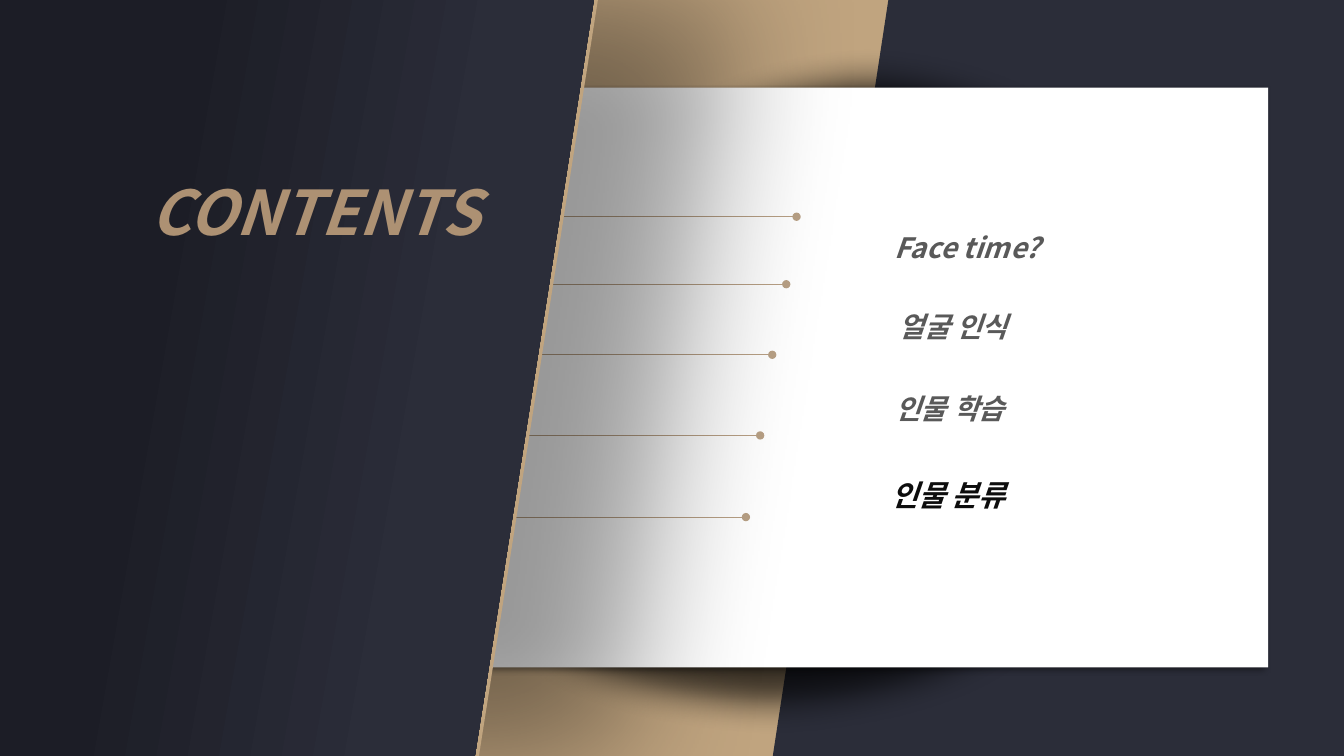
from lxml import etree
from pptx import Presentation
from pptx.dml.color import RGBColor
from pptx.enum.shapes import MSO_CONNECTOR, MSO_SHAPE
from pptx.enum.text import MSO_ANCHOR, MSO_AUTO_SIZE, PP_ALIGN
from pptx.oxml.ns import qn
from pptx.util import Inches, Pt

SLANTED, OVAL, RECTANGLE = MSO_SHAPE.FLOWCHART_MANUAL_INPUT, MSO_SHAPE.OVAL, MSO_SHAPE.RECTANGLE
STRAIGHT, MIDDLE, CENTER = MSO_CONNECTOR.STRAIGHT, MSO_ANCHOR.MIDDLE, PP_ALIGN.CENTER
GROW = MSO_AUTO_SIZE.SHAPE_TO_FIT_TEXT
FONT = "Noto Sans CJK KR"
COLORS = {name: RGBColor.from_string(code) for name, code in {
    "gold": "C0A47F", "navy": "2B2D39", "night": "1C1D26", "black": "000000",
    "white": "FFFFFF", "rule": "B8A085", "title": "AD9173",
    "gray": "595959", "ink": "0D0D0D"}.items()}

deck = Presentation()
deck.slide_width, deck.slide_height = Inches(13.33), Inches(7.5)
page = deck.slides.add_slide(deck.slide_layouts[6])
page.background.fill.solid()
page.background.fill.fore_color.rgb = COLORS["gold"]

# One column and one row are each a hundredth of the slide
column, row = deck.slide_width / 100, deck.slide_height / 100


def add_block(kind, frame, color, effect=None, blur=0, distance=0, angle=0):
    """Add a borderless shape; frame is left, top, width, height in columns and rows."""
    left, top, width, height = frame
    block = page.shapes.add_shape(kind, int(left * column), int(top * row),
                                  int(width * column), int(height * row))
    block.fill.solid()
    block.fill.fore_color.rgb = COLORS[color]
    block.line.fill.background()
    block.shadow.inherit = False
    effects = block._element.spPr.find(qn("a:effectLst"))
    if effect == "softEdge":
        etree.SubElement(effects, qn("a:softEdge"), rad=str(Pt(blur)))
    elif effect == "outerShdw":
        shadow = etree.SubElement(effects, qn("a:outerShdw"), blurRad=str(Pt(blur)),
                                  dist=str(Pt(distance)), dir=str(angle * 60000),
                                  algn="ctr", rotWithShape="0")
        tint = etree.SubElement(shadow, qn("a:srgbClr"), val=str(COLORS["black"]))
        etree.SubElement(tint, qn("a:alpha"), val="40000")
    return block


def add_label(frame, text, size, color):
    """Add a text box with one bold italic run."""
    left, top, width, height = frame
    box = page.shapes.add_textbox(int(left * column), int(top * row),
                                  int(width * column), int(height * row))
    box.text_frame.word_wrap = True
    span = box.text_frame.paragraphs[0].add_run()
    span.text = text
    font = span.font
    font.name, font.size, font.bold, font.italic = FONT, Pt(size), True, True
    font.color.rgb = COLORS[color]
    etree.SubElement(font._element, qn("a:ea"), typeface=FONT)
    return box.text_frame


# A panel lies on its side: its long side is the slide's height
long_side = deck.slide_height / column


def panel_frame(center, thickness):
    height = thickness * column / row
    return center - long_side / 2, 50 - height / 2, long_side, height


# Navy panel on the right
right_panel = add_block(SLANTED, panel_frame(79, 43), "navy")
right_panel.rotation = 90
right_panel._element.spPr.xfrm.set("flipV", "1")

# Soft dark glows behind the card
for glow_frame in [(35.63, 66.67, 43.28, 30.8), (46.43, 5.87, 36.23, 30.8)]:
    glow = add_block(OVAL, glow_frame, "black", "softEdge", 25)
    tint = glow._element.spPr.find(qn("a:solidFill"))[0]
    etree.SubElement(tint, qn("a:alpha"), val="71000")

# White card
add_block(RECTANGLE, (9.53, 11.6, 84.83, 76.67), "white", "outerShdw", 4, 3, 135)

# Contents list
for left, top, text, size, color in [
        (65.8, 29.87, "Face time?", 20, "gray"),
        (66.1, 40.27, "얼굴 인식", 20, "gray"),
        (65.87, 51.07, "인물 학습", 20, "gray"),
        (65.57, 62.4, "인물 분류", 21, "ink")]:
    add_label((left, top, 26.25, 5.87), text, size, color).auto_size = GROW

# Rules with round ends
for end, level in [(59.27, 28.67), (58.5, 37.6), (57.46, 46.93), (56.56, 57.6), (55.5, 68.4)]:
    rule = page.shapes.add_connector(STRAIGHT, int((end - 33.95) * column), int(level * row),
                                     int(end * column), int(level * row))
    rule.line.color.rgb = COLORS["rule"]
    rule.line.width = Pt(0.5)
    for tip in ("a:headEnd", "a:tailEnd"):
        etree.SubElement(rule.line._ln, qn(tip), type="oval")
    etree.SubElement(rule._element.spPr, qn("a:effectLst"))

# Gold edge and navy panel on the left
gold_edge = add_block(SLANTED, panel_frame(22.36, 44.26), "gold", "outerShdw", 100, 97, 0)
left_panel = add_block(SLANTED, panel_frame(22.06, 44.26), "navy")
for panel in (gold_edge, left_panel):
    panel.rotation = 90
    panel._element.spPr.xfrm.set("flipH", "1")
left_panel.fill.gradient()
left_panel.fill.gradient_angle = 100
for stop, position, color in zip(left_panel.fill.gradient_stops, (0.27, 0.7), ("night", "navy")):
    stop.position = position
    stop.color.rgb = COLORS[color]

# Title
title = add_label((4.73, 14.67, 37.43, 26.53), "CONTENTS", 44, "title")
title.vertical_anchor = MIDDLE
title.margin_left = title.margin_right = title.margin_top = title.margin_bottom = 0
title.paragraphs[0].alignment = CENTER

deck.save("out.pptx")
